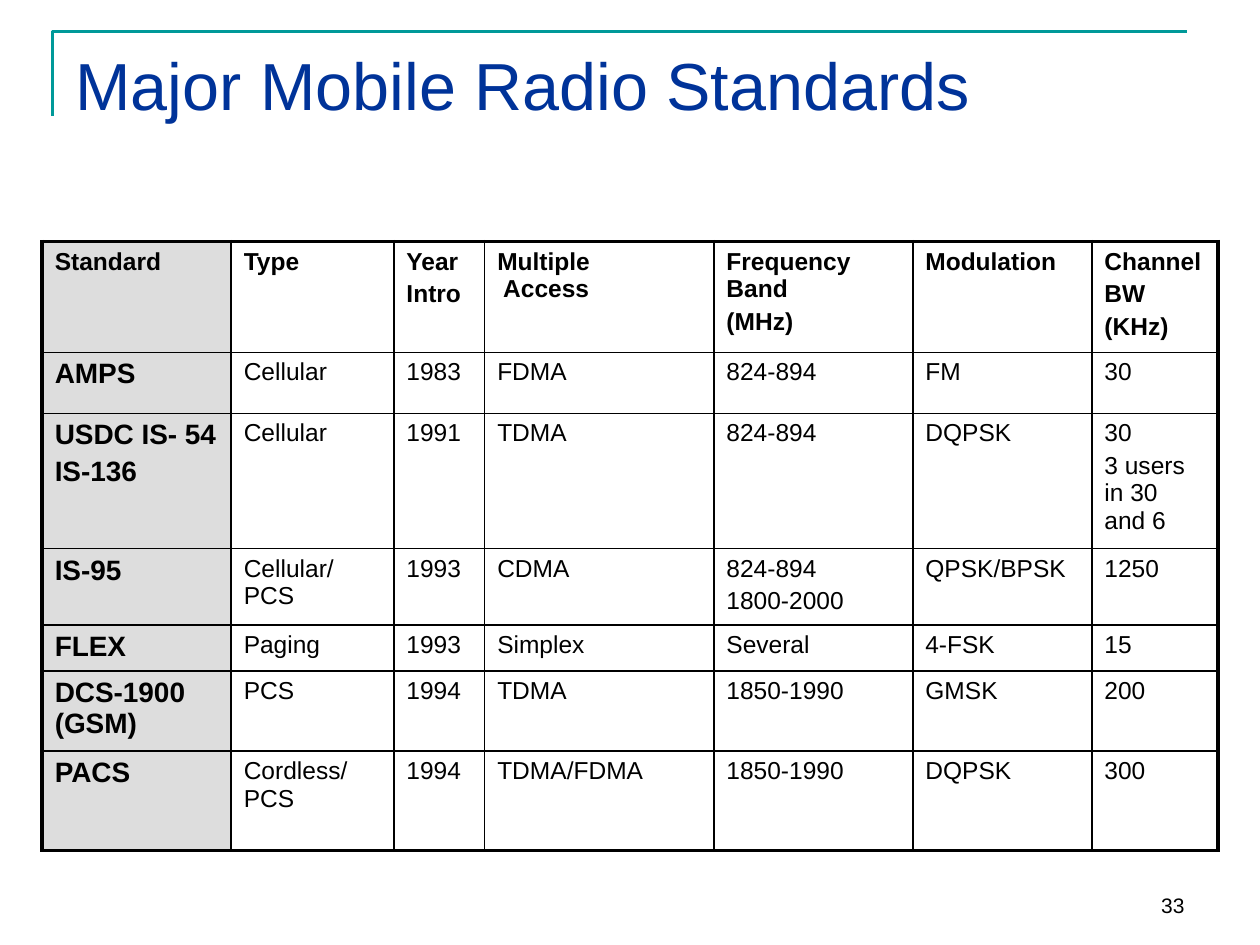
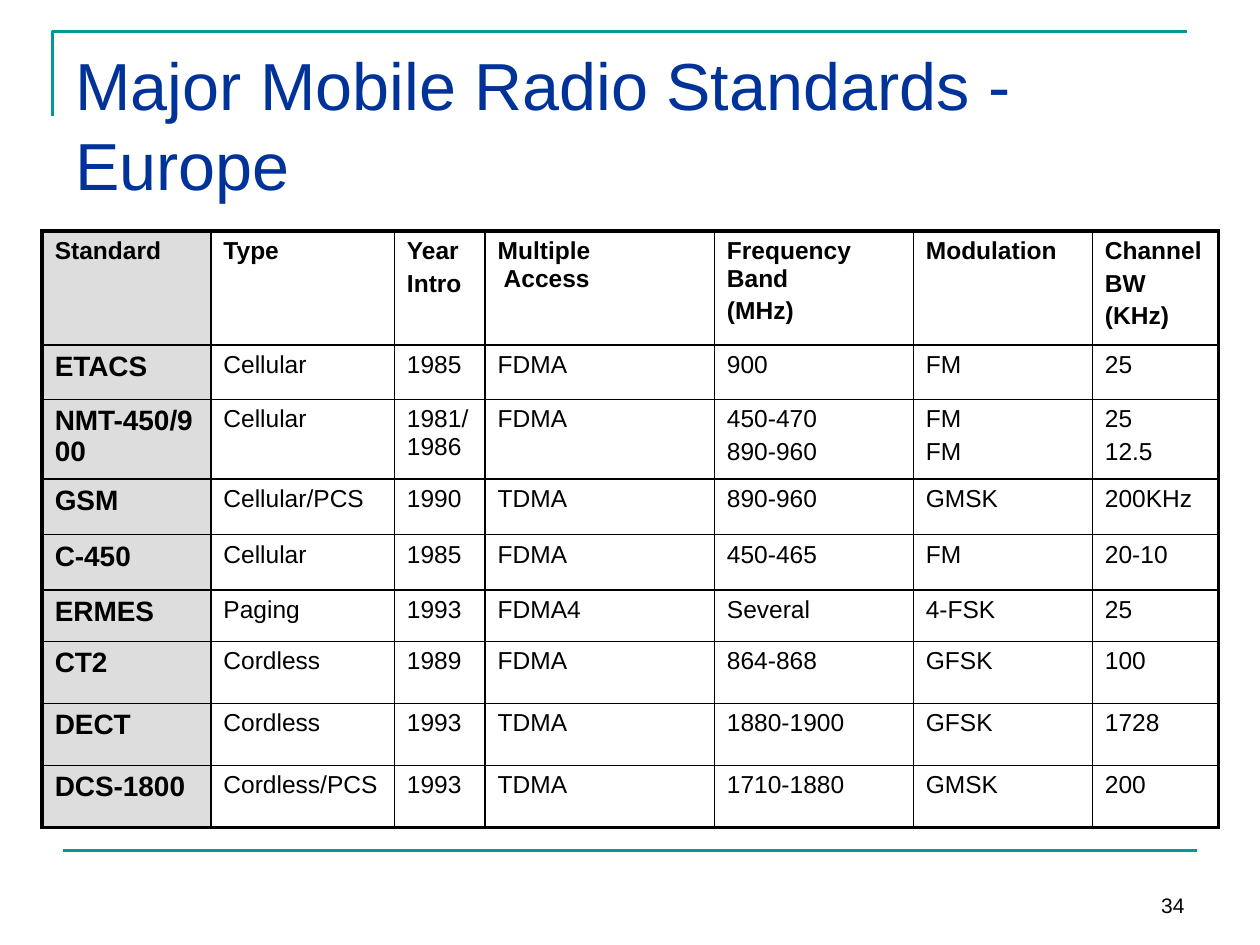
from copy import deepcopy
from lxml.etree import SubElement
from pptx import Presentation
from pptx.dml.color import RGBColor
from pptx.enum.shapes import MSO_CONNECTOR
from pptx.enum.text import MSO_ANCHOR, PP_ALIGN
from pptx.oxml.ns import qn
from pptx.util import Cm, Pt

TEAL, NAVY, BLACK = "009999", "003399", "000000"
GREY, WHITE = "DDDDDD", "FFFFFF"
FONT = "Arial"
THIN, THICK = 1, 2.25


def color(code):
    return RGBColor.from_string(code)


def style(para, size, code=BLACK, bold=False):
    for run in para.runs:
        run.font.name = FONT
        run.font.size = Pt(size)
        run.font.bold = bold
        run.font.color.rgb = color(code)
    # Line breaks take the format of the text around them
    for gap in para._p.findall(qn("a:br")):
        gap.insert(0, deepcopy(para.runs[0]._r.rPr))


# Table content: "\n" starts a paragraph, "\v" breaks a line
HEAD = ["Standard", "Type", "Year\nIntro", "Multiple\v Access",
        "Frequency Band\n(MHz)", "Modulation", "Channel\nBW\n(KHz)"]
WIDTHS = [1.83, 4.62, 4.01, 3.61, 2.54]

pages = [
    {
        "title": "Major Mobile Radio Standards",
        "number": 33,
        "top": 4.87,
        "widths": [3.81, 3.28] + WIDTHS,
        "heights": [2.11, 1.23, 2.58, 1.47, 0.89, 1.51, 2.01],
        "rows": [
            ["AMPS", "Cellular", "1983", "FDMA", "824-894", "FM", "30"],
            ["USDC IS- 54\nIS-136", "Cellular", "1991", "TDMA", "824-894",
             "DQPSK", "30\n3 users in 30 and 6"],
            ["IS-95", "Cellular/PCS", "1993", "CDMA", "824-894\n1800-2000",
             "QPSK/BPSK", "1250"],
            ["FLEX", "Paging", "1993", "Simplex", "Several", "4-FSK", "15"],
            ["DCS-1900 (GSM)", "PCS", "1994", "TDMA", "1850-1990", "GMSK",
             "200"],
            ["PACS", "Cordless/PCS", "1994", "TDMA/FDMA", "1850-1990",
             "DQPSK", "300"],
        ],
    },
    {
        "title": "Major Mobile Radio Standards - Europe",
        "number": 34,
        "top": 4.66,
        "widths": [3.4, 3.7] + WIDTHS,
        "heights": [2.3, 1.09, 1.51, 1.12, 1.12, 1.03, 1.25, 1.25, 1.25],
        "rows": [
            ["ETACS", "Cellular", "1985", "FDMA", "900", "FM", "25"],
            ["NMT-450/900", "Cellular", "1981/1986", "FDMA",
             "450-470\n890-960", "FM\nFM", "25\n12.5"],
            ["GSM", "Cellular/PCS", "1990", "TDMA", "890-960", "GMSK",
             "200KHz"],
            ["C-450", "Cellular", "1985", "FDMA", "450-465", "FM", "20-10"],
            ["ERMES", "Paging", "1993", "FDMA4", "Several", "4-FSK", "25"],
            ["CT2", "Cordless", "1989", "FDMA", "864-868", "GFSK", "100"],
            ["DECT", "Cordless", "1993", "TDMA", "1880-1900", "GFSK", "1728"],
            ["DCS-1800", "Cordless/PCS", "1993", "TDMA", "1710-1880", "GMSK",
             "200"],
        ],
    },
]

deck = Presentation()
deck.slide_width, deck.slide_height = Cm(25.4), Cm(19.05)

for page in pages:
    slide = deck.slides.add_slide(deck.slide_layouts[6])
    shapes = slide.shapes

    # Corner line above the title
    pen = shapes.build_freeform(Cm(1.06), Cm(2.33))
    pen.add_line_segments([(Cm(1.06), Cm(0.64)), (Cm(23.92), Cm(0.64))],
                          close=False)
    corner = pen.convert_to_shape()
    corner.shadow.inherit = False
    corner.fill.background()

    # Line above the footer
    rule = shapes.add_connector(MSO_CONNECTOR.STRAIGHT, Cm(1.27), Cm(17.15),
                                Cm(24.13), Cm(17.15))
    SubElement(rule._element.spPr, qn("a:effectLst"))
    for mark in (corner, rule):
        mark.line.color.rgb = color(TEAL)
        mark.line.width = Pt(1.5)

    # Page number
    foot = shapes.add_textbox(Cm(18.2), Cm(17.35), Cm(5.93), Cm(1.27))
    frame = foot.text_frame
    frame.word_wrap = True
    frame.vertical_anchor = MSO_ANCHOR.BOTTOM
    frame.text = str(page["number"])
    frame.paragraphs[0].alignment = PP_ALIGN.RIGHT
    style(frame.paragraphs[0], 12)

    # Title
    title = shapes.add_textbox(Cm(1.27), Cm(0.76), Cm(22.86), Cm(3.18))
    frame = title.text_frame
    frame.word_wrap = True
    frame.text = page["title"]
    style(frame.paragraphs[0], 38, NAVY)

    # Table grid
    rows = [HEAD] + page["rows"]
    widths, heights = page["widths"], page["heights"]
    table = shapes.add_table(len(rows), len(HEAD), Cm(0.85), Cm(page["top"]),
                             Cm(sum(widths)), Cm(sum(heights))).table
    table.first_row = table.horz_banding = False
    for col, width in zip(table.columns, widths):
        col.width = Cm(width)
    for row, height in zip(table.rows, heights):
        row.height = Cm(height)

    # Cells: thick outer frame, thin inner lines, grey first column
    for i, row in enumerate(rows):
        for j, text in enumerate(row):
            cell = table.cell(i, j)
            edges = {"a:lnL": j == 0, "a:lnR": j == len(HEAD) - 1,
                     "a:lnT": i == 0, "a:lnB": i == len(rows) - 1}
            props = cell._tc.get_or_add_tcPr()
            for tag, outer in edges.items():
                width = Pt(THICK if outer else THIN)
                line = SubElement(props, qn(tag), w=str(width))
                fill = SubElement(line, qn("a:solidFill"))
                SubElement(fill, qn("a:srgbClr"), val=BLACK)
            cell.fill.solid()
            cell.fill.fore_color.rgb = color(GREY if j == 0 else WHITE)

            cell.text_frame.text = text
            size = 16 if i and j == 0 else 14
            for k, para in enumerate(cell.text_frame.paragraphs):
                if k:
                    para.space_before = Pt(size * 0.2)
                style(para, size, bold=i == 0 or j == 0)

deck.save("out.pptx")
